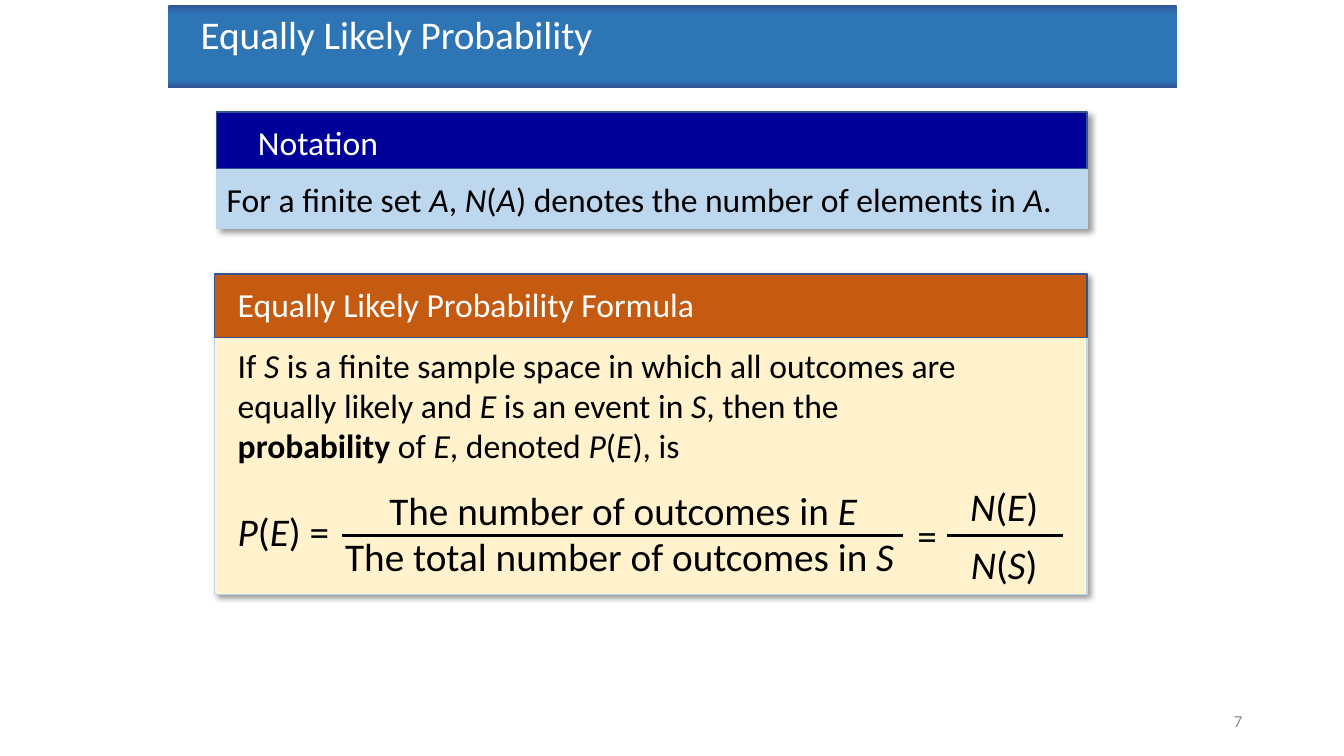
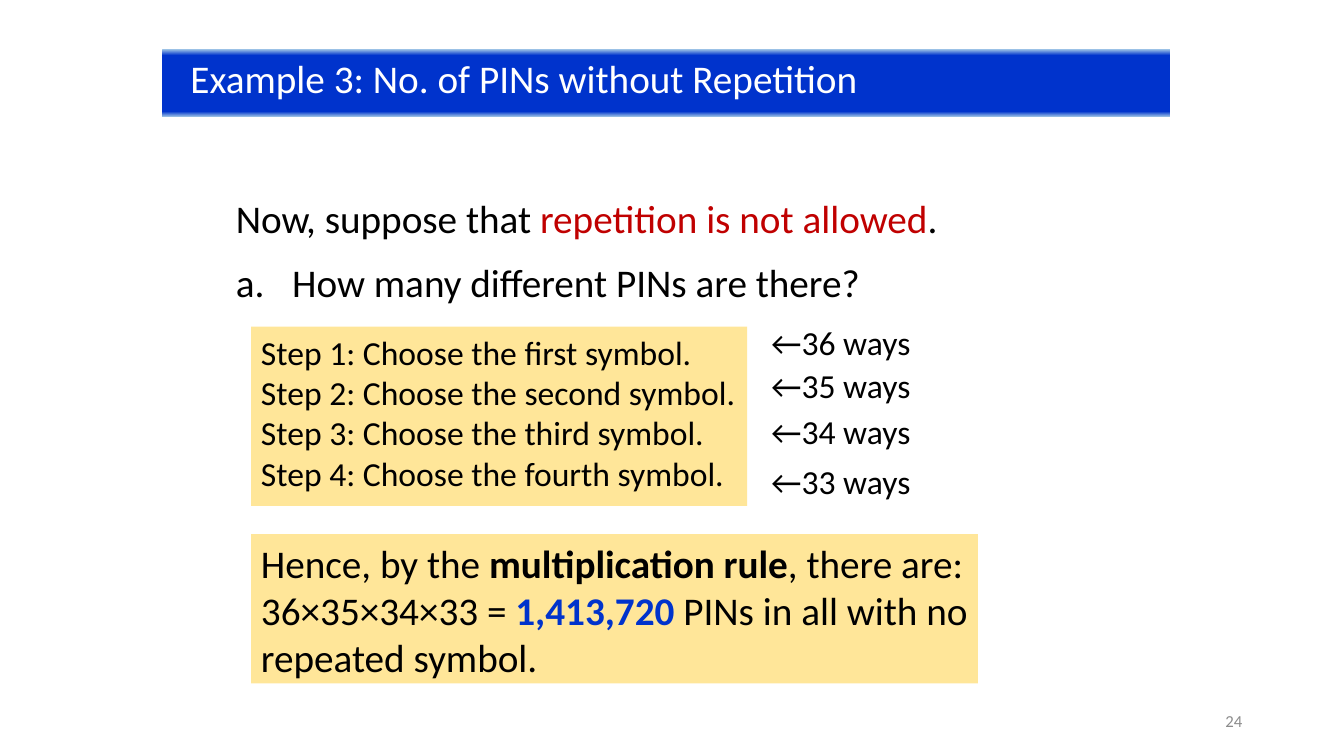
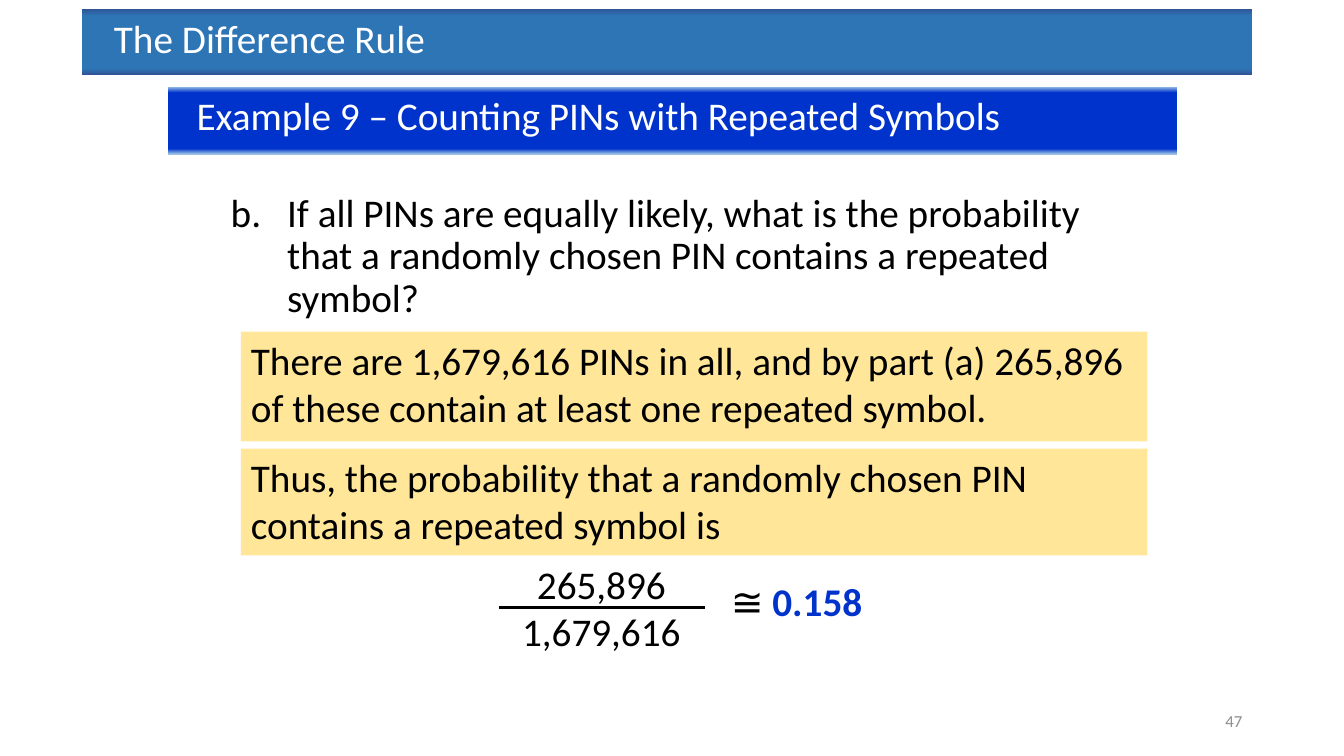
from lxml import etree
from pptx import Presentation
from pptx.dml.color import RGBColor
from pptx.enum.shapes import MSO_CONNECTOR, MSO_SHAPE
from pptx.enum.text import MSO_ANCHOR, PP_ALIGN
from pptx.oxml import parse_xml
from pptx.oxml.ns import qn
from pptx.util import Inches, Pt

RECT, STRAIGHT = MSO_SHAPE.RECTANGLE, MSO_CONNECTOR.STRAIGHT
TOP, MIDDLE = MSO_ANCHOR.TOP, MSO_ANCHOR.MIDDLE
LEFT, CENTER, RIGHT = PP_ALIGN.LEFT, PP_ALIGN.CENTER, PP_ALIGN.RIGHT
NS = "http://schemas.openxmlformats.org/drawingml/2006/main"

WIDTH, HEIGHT = 13.33, 7.5
FONT = "Calibri"
BLACK, WHITE, GREY = "000000", "FFFFFF", "8C8C8C"
BLUE, RED, SAND, SKY, EDGE = "0033CC", "C00000", "FFE699", "BDD7EE", "325491"

# Title bands: gradient stops, left inset of the text
TOPIC = ((0, "2F5597"), (11, "2E75B6"), (91, "2E75B6"), (100, "2F5597")), 0.32
EXAMPLE = ((0, "9DC3E6"), (9, BLUE), (92, BLUE), (100, "9DC3E6")), 0.28

# In texts, each second part between bars is styled by its first letter
MARKS = {
    "i": {"italic": True},
    "b": {"bold": True},
    "r": {"color": RED},
    "v": {"bold": True, "color": BLUE},
}

SLIDES = [
    {
        "number": 7,
        "bands": [(TOPIC, (1.67, 0.05, 10, 0.82), "Equally Likely Probability")],
        "cards": [
            ((2.15, 1.11, 8.63, 1.16), SKY, 0.56, "000099"),
            ((2.13, 2.72, 8.65, 3.18), "FFF2CC", 0.63, "C55A11"),
        ],
        "texts": [
            ((2.46, 1.16, 4.63, 0.5), "Notation", {"size": 24, "color": WHITE}),
            ((2.15, 1.73, 8.6, 0.5),
             "For a finite set |iA|, |iN|(|iA|) denotes the number of elements in |iA|.",
             {"size": 24}),
            ((2.26, 2.77, 7.1, 0.5), "Equally Likely Probability Formula",
             {"size": 24, "color": WHITE}),
            ((2.26, 3.37, 7.57, 1.3),
             "If |iS| is a finite sample space in which all outcomes are equally likely "
             "and |iE| is an event in |iS|, then the |bprobability| of |iE|, denoted "
             "|iP|(|iE|), is", {"size": 24}),
            ((2.26, 4.98, 1.3, 0.57), "|iP|(|iE|) =", {}),
            ((3.59, 4.78, 5.18, 0.57), "The number of outcomes in |iE", {"align": CENTER}),
            ((3.21, 5.23, 5.87, 0.57), "The total number of outcomes in |iS",
             {"align": CENTER}),
            ((9, 5.02, 0.49, 0.57), "=", {}),
            ((9.26, 4.74, 1.4, 0.57), "|iN|(|iE|)", {"align": CENTER}),
            ((9.26, 5.31, 1.4, 0.57), "|iN|(|iS|)", {"align": CENTER}),
        ],
        "rules": [(3.39, 8.96, 5.31), (9.39, 10.54, 5.31)],
    },
    {
        "number": 24,
        "bands": [(EXAMPLE, (1.61, 0.49, 10, 0.67),
                   "Example 3: No. of PINs without Repetition")],
        "texts": [
            ((2.24, 1.88, 8.74, 0.57),
             "Now, suppose that |rrepetition is not allowed|.", {}),
            ((2.24, 2.51, 8.74, 0.57), "How many different PINs are there?", {"item": 1}),
            ((2.49, 3.24, 4.92, 1.78),
             "Step 1: Choose the first symbol.\nStep 2: Choose the second symbol.\n"
             "Step 3: Choose the third symbol.\nStep 4: Choose the fourth symbol.",
             {"size": 24, "fill": SAND}),
            *[((7.55, top, 1.75, 0.5), f"←{ways} ways", {"size": 24})
              for ways, top in ((36, 3.14), (35, 3.57), (34, 4.03), (33, 4.52))],
            ((2.49, 5.3, 7.21, 1.48),
             "Hence, by the |bmultiplication rule|, there are:\n"
             "36×35×34×33 = |v1,413,720| PINs in all with no repeated symbol.",
             {"fill": SAND}),
        ],
    },
    {
        "number": 47,
        "bands": [
            (TOPIC, (0.81, 0.09, 11.61, 0.65), "The Difference Rule"),
            (EXAMPLE, (1.67, 0.86, 10, 0.67),
             "Example 9 – Counting PINs with Repeated Symbols"),
        ],
        "texts": [
            ((2.19, 1.87, 9, 1.38),
             "If all PINs are equally likely, what is the probability that a randomly "
             "chosen PIN contains a repeated symbol?",
             {"item": 2, "para": {"line_spacing": 0.9, "space_before": Pt(10)}}),
            ((2.39, 3.29, 8.99, 1.09),
             "There are 1,679,616 PINs in all, and by part (a) 265,896 of these contain "
             "at least one repeated symbol.", {"fill": SAND}),
            ((2.39, 4.45, 8.99, 1.06),
             "Thus, the probability that a randomly chosen PIN contains a repeated "
             "symbol is", {"fill": SAND}),
            ((4.95, 5.51, 2.03, 1.04), "265,896\n1,679,616", {"align": CENTER}),
            ((7.15, 5.68, 1.88, 0.57), "≅ |v0.158", {}),
        ],
        "rules": [(4.95, 6.99, 6.03)],
    },
]


def rgb(code):
    return RGBColor.from_string(code)


def add_box(slide, at, fill=None, line=None):
    shape = slide.shapes.add_shape(RECT, *map(Inches, at))
    shape.shadow.inherit = False
    if fill:
        shape.fill.solid()
        shape.fill.fore_color.rgb = rgb(fill)
    if line:
        shape.line.color.rgb = rgb(line)
        shape.line.width = Pt(1)
    else:
        shape.line.fill.background()
    return shape


def number_item(para, start):
    """Give the paragraph a hanging letter, counted from start."""
    props = para._p.get_or_add_pPr()
    props.set("marL", str(Inches(0.56)))
    props.set("indent", str(-Inches(0.56)))
    mark = etree.SubElement(props, qn("a:buAutoNum"), type="alphaLcPeriod")
    mark.set("startAt", str(start))


def write(shape, text, size=28, color=BLACK, align=LEFT, anchor=TOP,
          inset=0.1, item=0, para=None):
    frame = shape.text_frame
    frame.word_wrap = True
    frame.vertical_anchor = anchor
    frame.margin_left = Inches(inset)
    for k, row in enumerate(text.split("\n")):
        line = frame.add_paragraph() if k else frame.paragraphs[0]
        for name, value in {"alignment": align, **(para or {})}.items():
            setattr(line, name, value)
        if item:
            number_item(line, item)
        for j, part in enumerate(row.split("|")):
            if not part:
                continue
            style = {"name": FONT, "size": Pt(size), "color": color}
            if j % 2:
                style.update(MARKS[part[0]])
                part = part[1:]
            run = line.add_run()
            run.text = part
            run.font.color.rgb = rgb(style.pop("color"))
            for name, value in style.items():
                setattr(run.font, name, value)


def add_text(slide, at, text, fill=None, **style):
    if fill:
        shape = add_box(slide, at, fill)
    else:
        shape = slide.shapes.add_textbox(*map(Inches, at))
    write(shape, text, **style)


def add_band(slide, kind, at, title):
    stops, inset = kind
    band = add_box(slide, at)
    marks = "".join(f'<a:gs pos="{pos * 1000}"><a:srgbClr val="{code}"/></a:gs>'
                    for pos, code in stops)
    grad = parse_xml(f'<a:gradFill xmlns:a="{NS}" rotWithShape="1"><a:gsLst>{marks}'
                     '</a:gsLst><a:lin ang="5400000" scaled="0"/></a:gradFill>')
    band._element.spPr.find(qn("a:prstGeom")).addnext(grad)
    write(band, title, color=WHITE, inset=inset)


def add_card(slide, at, fill, head, shade):
    """Draw a panel with a soft shadow and a header strip."""
    panel = add_box(slide, at, fill, SKY)
    panel._element.spPr.find(qn("a:effectLst")).append(parse_xml(
        f'<a:outerShdw xmlns:a="{NS}" blurRad="{Pt(4)}" dist="{Pt(3)}" dir="2700000" '
        f'algn="tl" rotWithShape="0"><a:srgbClr val="{BLACK}"><a:alpha val="40000"/>'
        '</a:srgbClr></a:outerShdw>'))
    add_box(slide, (*at[:3], head), shade, EDGE)


def add_rule(slide, left, right, y):
    rule = slide.shapes.add_connector(
        STRAIGHT, Inches(left), Inches(y), Inches(right), Inches(y))
    rule.line.color.rgb = rgb(BLACK)
    rule.line.width = Pt(2.25)
    etree.SubElement(rule._element.spPr, qn("a:effectLst"))


def main():
    deck = Presentation()
    deck.slide_width, deck.slide_height = Inches(WIDTH), Inches(HEIGHT)
    for page in SLIDES:
        slide = deck.slides.add_slide(deck.slide_layouts[6])
        for band in page["bands"]:
            add_band(slide, *band)
        for card in page.get("cards", ()):
            add_card(slide, *card)
        for at, text, style in page["texts"]:
            add_text(slide, at, text, **style)
        for rule in page.get("rules", ()):
            add_rule(slide, *rule)
        add_text(slide, (9.42, 6.95, 3, 0.4), str(page["number"]),
                 size=12, color=GREY, align=RIGHT, anchor=MIDDLE)
    deck.save("out.pptx")


if __name__ == "__main__":
    main()
